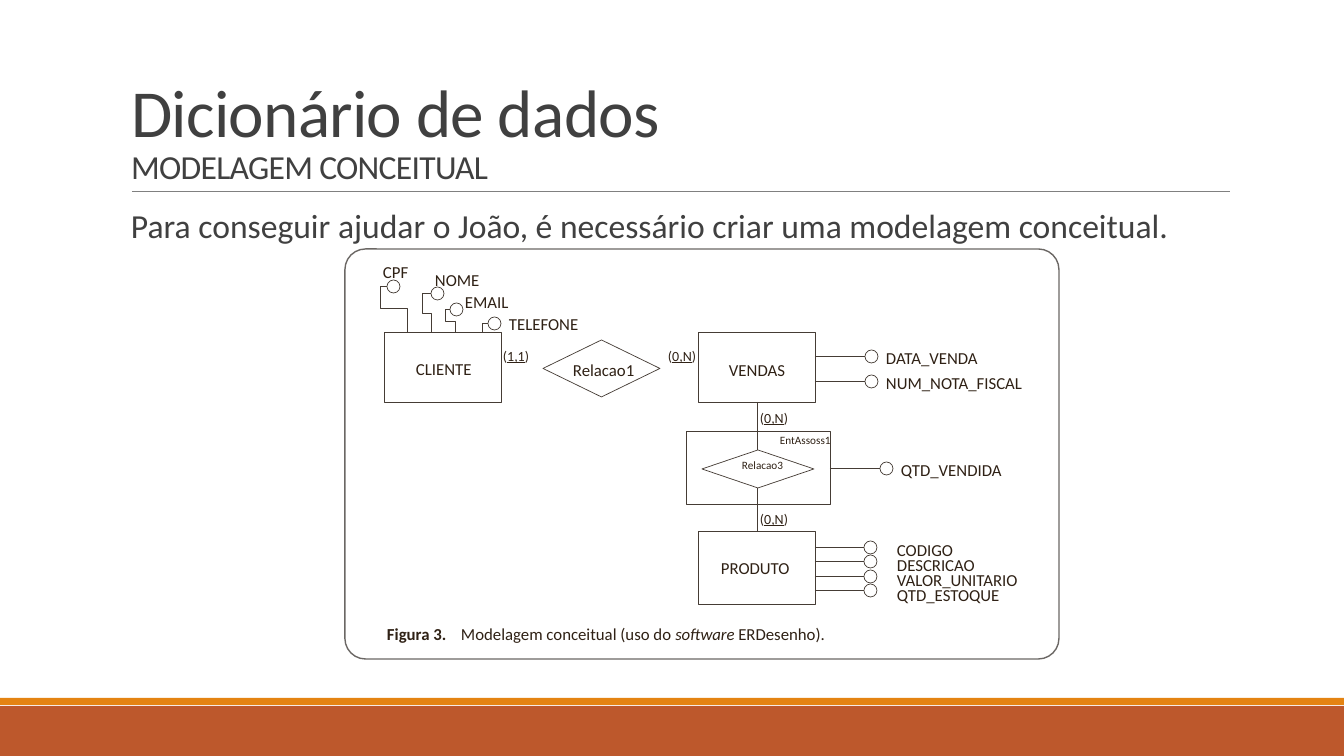
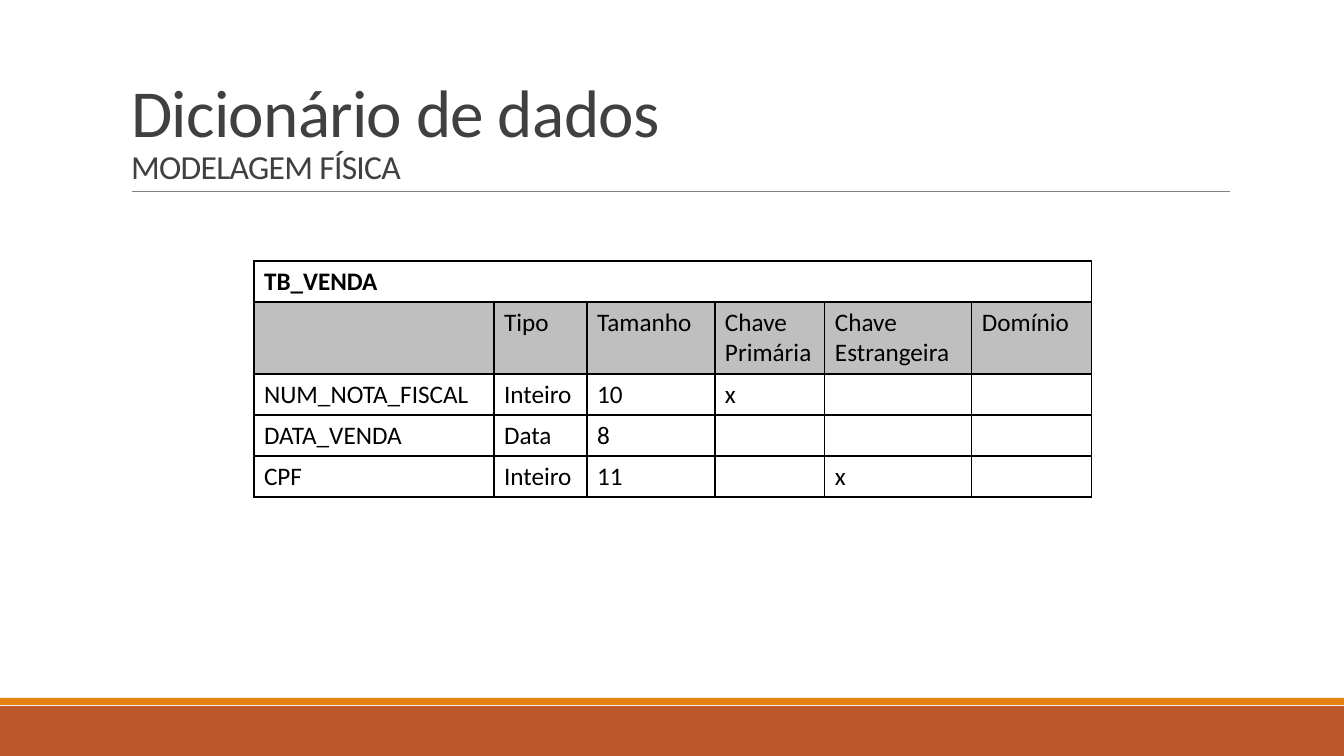
from dataclasses import dataclass
from itertools import pairwise

from lxml import etree
from pptx import Presentation
from pptx.dml.color import RGBColor
from pptx.enum.shapes import MSO_CONNECTOR, MSO_SHAPE
from pptx.enum.text import MSO_ANCHOR, MSO_AUTO_SIZE, PP_ALIGN
from pptx.oxml.ns import qn
from pptx.slide import Slide
from pptx.util import Emu, Pt

SCALE = 914400 / 100.8
WIDE, HIGH = 1344, 756
FONT = "Calibri"

RUST = RGBColor(0xBD, 0x58, 0x2C)
AMBER = RGBColor(0xE4, 0x83, 0x12)
RULE = RGBColor(0x80, 0x80, 0x80)
SLATE = RGBColor(0x40, 0x40, 0x40)
BROWN = RGBColor(0x2F, 0x21, 0x15)
STROKE = RGBColor(0x45, 0x3C, 0x35)
FRAME = RGBColor(0x6B, 0x67, 0x64)
BLACK = RGBColor(0, 0, 0)
WHITE = RGBColor(0xFF, 0xFF, 0xFF)
GREY = RGBColor(0xBF, 0xBF, 0xBF)

RECT, ROUND = MSO_SHAPE.RECTANGLE, MSO_SHAPE.ROUNDED_RECTANGLE
OVAL, DIAMOND = MSO_SHAPE.OVAL, MSO_SHAPE.DIAMOND
STRAIGHT = MSO_CONNECTOR.STRAIGHT
TOP, BOTTOM = MSO_ANCHOR.TOP, MSO_ANCHOR.BOTTOM
LEFT, FIXED = PP_ALIGN.LEFT, MSO_AUTO_SIZE.NONE

THIN = 0.5
DOT = 13

Point = tuple[int, int]


@dataclass(frozen=True)
class Run:
    text: str
    size: int = 12
    color: RGBColor = BROWN
    bold: bool = False
    slant: bool = False
    under: bool = False
    track: int = 0


@dataclass(frozen=True)
class Label:
    x: int
    y: int
    runs: tuple[Run, ...]
    wide: int = 150


@dataclass(frozen=True)
class Node:
    kind: MSO_SHAPE
    x: int
    y: int
    wide: int
    high: int


@dataclass(frozen=True)
class Field:
    """An attribute: a stem that ends in a circle, and its name."""
    name: str
    x: int
    y: int
    stem: tuple[Point, ...]


def px(n: float) -> Emu:
    return Emu(round(n * SCALE))


def card(x: int, y: int, pair: str) -> Label:
    """Cardinality with the pair underlined."""
    return Label(x, y, (Run("(", 10), Run(pair, 10, under=True), Run(")", 10)), 60)


NODES = (
    Node(RECT, 384, 332, 117, 70),
    Node(DIAMOND, 543, 340, 117, 57),
    Node(RECT, 698, 332, 117, 70),
    Node(RECT, 686, 431, 144, 73),
    Node(DIAMOND, 702, 450, 112, 38),
    Node(RECT, 698, 531, 117, 73),
)
LINKS = (((757, 402), (757, 450)), ((757, 488), (757, 531)))
STOCK = ("CODIGO", "DESCRICAO", "VALOR_UNITARIO", "QTD_ESTOQUE")
FIELDS = (
    Field("CPF", 383, 260,
          ((407, 332), (407, 308), (380, 308), (380, 286), (387, 286))),
    Field("NOME", 435, 268,
          ((431, 332), (431, 313), (422, 313), (422, 293), (431, 293))),
    Field("EMAIL", 465, 290,
          ((455, 332), (455, 321), (445, 321), (445, 309), (450, 309))),
    Field("TELEFONE", 509, 312, ((482, 332), (482, 323), (488, 323))),
    Field("DATA_VENDA", 886, 346, ((815, 356), (865, 356))),
    Field("NUM_NOTA_FISCAL", 886, 371, ((815, 381), (865, 381))),
    Field("QTD_VENDIDA", 901, 458, ((830, 468), (880, 468))),
    *(Field(name, 897, 538 + 15 * i,
            ((815, 547 + 29 * i // 2), (864, 547 + 29 * i // 2)))
      for i, name in enumerate(STOCK)),
)
LABELS = (
    Label(416, 357, (Run("CLIENTE"),)),
    Label(573, 358, (Run("Relacao1"),)),
    Label(729, 358, (Run("VENDAS"),)),
    Label(721, 556, (Run("PRODUTO"),)),
    Label(742, 457, (Run("Relacao3", 8),)),
    Label(780, 432, (Run("EntAssoss1", 8),)),
    card(503, 346, "1,1"),
    card(668, 346, "0,N"),
    card(760, 408, "0,N"),
    card(760, 509, "0,N"),
    Label(387, 622, (Run("Figura 3.", bold=True),), 70),
    Label(461, 622, (Run("Modelagem conceitual (uso do "),
                     Run("software ", slant=True, track=-10),
                     Run("ERDesenho).")), 400),
)

COLS = (240, 93, 128, 110, 147, 120)
ROWS = (41, 72, 41, 41, 41)
CELLS = (
    ("TB_VENDA", "", "", "", "", ""),
    ("", "Tipo", "Tamanho", "Chave Primária", "Chave Estrangeira", "Domínio"),
    ("NUM_NOTA_FISCAL", "Inteiro", "10", "x", "", ""),
    ("DATA_VENDA", "Data", "8", "", "", ""),
    ("CPF", "Inteiro", "11", "", "x", ""),
)


def place(shape, x: int, y: int, wide: int, high: int) -> None:
    shape.left, shape.top, shape.width, shape.height = map(px, (x, y, wide, high))


def write(para, run: Run) -> None:
    part = para.add_run()
    part.text = run.text
    font = part.font
    font.name, font.size = FONT, Pt(run.size)
    font.color.rgb = run.color
    font.bold, font.italic, font.underline = run.bold, run.slant, run.under
    if run.track:
        part._r.get_or_add_rPr().set("spc", str(run.track))


def ink(shape, color: RGBColor = STROKE, wide: float = THIN) -> None:
    """Outline only, with no fill and no shadow."""
    shape.shadow.inherit = False
    shape.fill.background()
    shape.line.color.rgb = color
    shape.line.width = Pt(wide)


def draw(slide: Slide, node: Node):
    spot = map(px, (node.x, node.y, node.wide, node.high))
    shape = slide.shapes.add_shape(node.kind, *spot)
    ink(shape)
    return shape


def line(slide: Slide, start: Point, end: Point, color: RGBColor = STROKE) -> None:
    link = slide.shapes.add_connector(STRAIGHT, *map(px, (*start, *end)))
    link.line.color.rgb = color
    link.line.width = Pt(THIN)
    etree.SubElement(link._element.spPr, qn("a:effectLst"))


def tag(slide: Slide, label: Label) -> None:
    spot = map(px, (label.x, label.y, label.wide, 20))
    frame = slide.shapes.add_textbox(*spot).text_frame
    frame.word_wrap = True
    frame.margin_left = frame.margin_right = 0
    frame.margin_top = frame.margin_bottom = 0
    para = frame.paragraphs[0]
    para.line_spacing = 1.07
    for run in label.runs:
        write(para, run)


def attach(slide: Slide, field: Field) -> None:
    """Draw an attribute with its stem, circle and name."""
    if len(field.stem) == 2:
        for start, end in pairwise(field.stem):
            line(slide, start, end)
    else:
        path = slide.shapes.build_freeform(*field.stem[0], scale=SCALE)
        path.add_line_segments(field.stem[1:], close=False)
        ink(path.convert_to_shape())
    x, y = field.stem[-1]
    draw(slide, Node(OVAL, x, y - DOT // 2, DOT, DOT))
    tag(slide, Label(field.x, field.y, (Run(field.name),)))


def start(deck, layout: int, topic: str) -> Slide:
    """Add a slide with the shared bands, rule and title."""
    slide = deck.slides.add_slide(deck.slide_layouts[layout])
    for y, high, color in ((706, 50, RUST), (698, 7, AMBER)):
        band = draw(slide, Node(RECT, 0, y, WIDE, high))
        band.fill.solid()
        band.fill.fore_color.rgb = color
        band.line.fill.background()
    line(slide, (132, 191), (1230, 191), RULE)

    title = slide.shapes.title
    place(title, 121, 31, 1109, 160)
    frame = title.text_frame
    frame.auto_size, frame.vertical_anchor = FIXED, BOTTOM
    para = frame.paragraphs[0]
    para.alignment, para.line_spacing = LEFT, 0.85
    write(para, Run("Dicionário de dados", 48, SLATE, track=-50))
    para.add_line_break()
    write(para, Run(topic, 24, SLATE, track=-50))
    return slide


def model(deck) -> None:
    slide = start(deck, 1, "MODELAGEM CONCEITUAL")
    body = slide.placeholders[1]
    place(body, 121, 204, 1109, 444)
    frame = body.text_frame
    frame.auto_size, frame.vertical_anchor = FIXED, TOP
    frame.margin_left = frame.margin_right = 0
    para = frame.paragraphs[0]
    para.line_spacing = 0.9
    para.space_before, para.space_after = Pt(12), Pt(2)
    props = para._p.get_or_add_pPr()
    props.set("marL", str(px(10)))
    props.set("indent", "0")
    etree.SubElement(props, qn("a:buNone"))
    write(para, Run("Para conseguir ajudar o João, é necessário criar uma "
                    "modelagem conceitual.", 24, SLATE))

    panel = draw(slide, Node(ROUND, 345, 249, 714, 410))
    panel.adjustments[0] = 0.05
    ink(panel, FRAME, 1)
    for node in NODES:
        draw(slide, node)
    for link in LINKS:
        line(slide, *link)
    for field in FIELDS:
        attach(slide, field)
    for label in LABELS:
        tag(slide, label)


def edge(cell) -> None:
    """Give a cell four black borders."""
    props = cell._tc.get_or_add_tcPr()
    for side in "LRTB":
        rim = etree.SubElement(props, qn(f"a:ln{side}"), w=str(Pt(1)))
        fill = etree.SubElement(rim, qn("a:solidFill"))
        etree.SubElement(fill, qn("a:srgbClr"), val=str(BLACK))


def grid(deck) -> None:
    slide = start(deck, 5, "MODELAGEM FÍSICA")
    spot = map(px, (254, 261, sum(COLS), sum(ROWS)))
    table = slide.shapes.add_table(len(ROWS), len(COLS), *spot).table
    table.first_row = table.horz_banding = False
    for col, wide in zip(table.columns, COLS):
        col.width = px(wide)
    for row, high in zip(table.rows, ROWS):
        row.height = px(high)
    for r, texts in enumerate(CELLS):
        for c, text in enumerate(texts):
            cell = table.cell(r, c)
            edge(cell)
            cell.fill.solid()
            cell.fill.fore_color.rgb = GREY if r == 1 else WHITE
            if text:
                para = cell.text_frame.paragraphs[0]
                write(para, Run(text, 18, BLACK, bold=r == 0))
    table.cell(0, 0).merge(table.cell(0, len(COLS) - 1))


def main() -> None:
    deck = Presentation()
    deck.slide_width, deck.slide_height = px(WIDE), px(HIGH)
    model(deck)
    grid(deck)
    deck.save("out.pptx")


if __name__ == "__main__":
    main()
